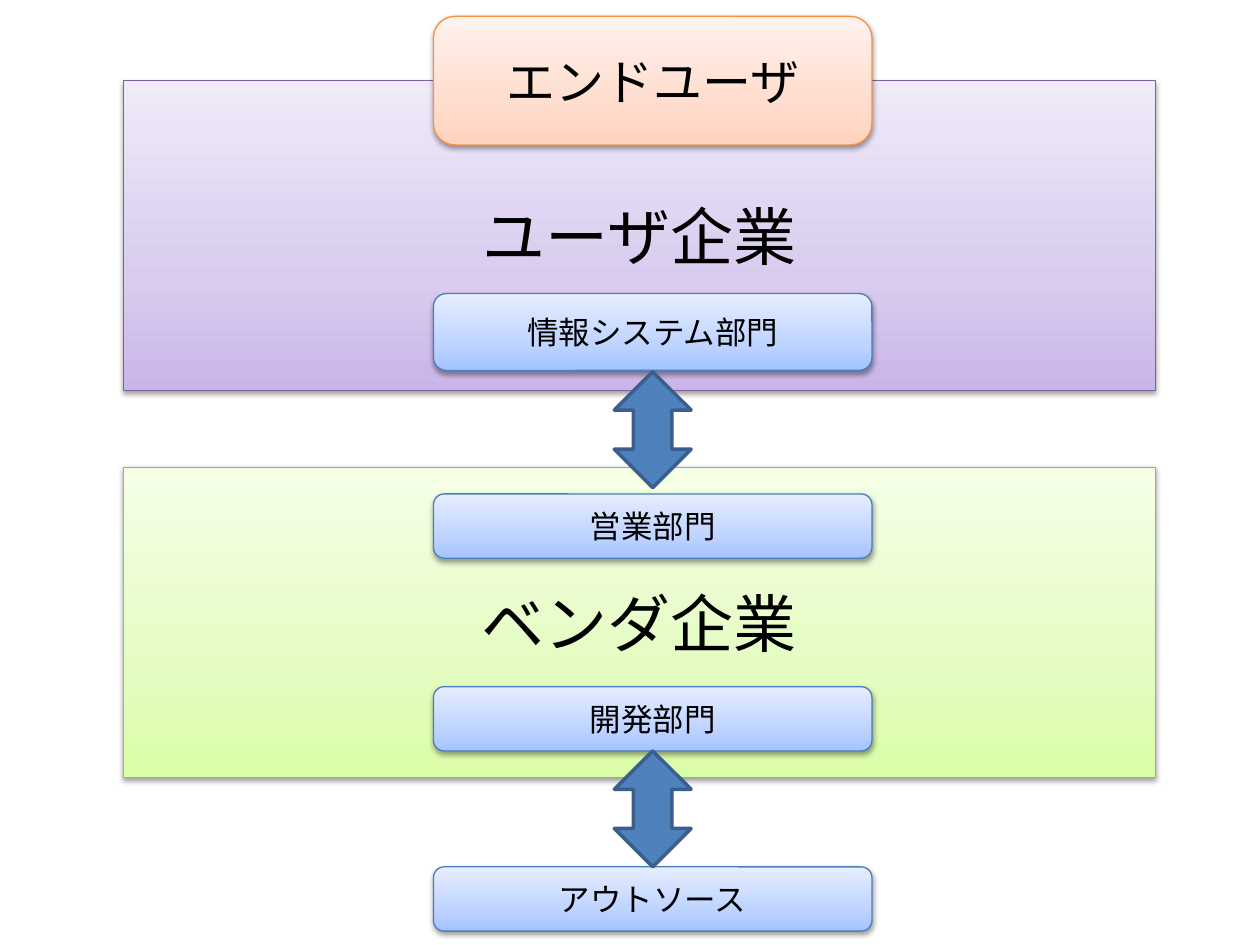
"""Builds a slide on how end users, user firms, vendors and outsourcers connect."""
from copy import deepcopy

from lxml.etree import SubElement
from pptx import Presentation
from pptx.dml.color import RGBColor
from pptx.enum.shapes import MSO_SHAPE
from pptx.enum.text import MSO_ANCHOR, PP_ALIGN
from pptx.oxml.ns import qn
from pptx.util import Inches, Pt

BLACK = RGBColor(0x00, 0x00, 0x00)
ARROW_FILL = RGBColor(0x4F, 0x81, 0xBD)
ARROW_LINE = RGBColor(0x3A, 0x5F, 0x8C)
PALETTES = {
    "purple": (RGBColor(0xC9, 0xB5, 0xE8), RGBColor(0xD8, 0xCB, 0xEE),
               RGBColor(0xF0, 0xEA, 0xF9), RGBColor(0x7D, 0x60, 0xA0)),
    "green": (RGBColor(0xDA, 0xFD, 0xA7), RGBColor(0xE4, 0xFC, 0xC2),
              RGBColor(0xF5, 0xFF, 0xE7), RGBColor(0x98, 0xB9, 0x55)),
    "orange": (RGBColor(0xFF, 0xD2, 0xBD), RGBColor(0xFF, 0xDE, 0xD0),
               RGBColor(0xFF, 0xF2, 0xED), RGBColor(0xF6, 0x92, 0x40)),
    "blue": (RGBColor(0xA4, 0xC4, 0xFF), RGBColor(0xBF, 0xD4, 0xFF),
             RGBColor(0xE6, 0xEE, 0xFF), RGBColor(0x4B, 0x7E, 0xBC)),
}
STOP_POSITIONS = (0, 0.35, 1)

COMPANY = (MSO_SHAPE.RECTANGLE, 0.98, 8.19)
UNIT = (MSO_SHAPE.ROUNDED_RECTANGLE, 3.44, 3.48)
BOXES = [
    ("ユーザ企業", COMPANY, 0.64, 2.46, "purple", 36),
    ("情報システム部門", UNIT, 2.33, 0.61, "blue", 18),
    ("エンドユーザ", UNIT, 0.13, 1.02, "orange", 28),
    ("ベンダ企業", COMPANY, 3.71, 2.46, "green", 36),
    ("営業部門", UNIT, 3.92, 0.51, "blue", 18),
    ("開発部門", UNIT, 5.45, 0.51, "blue", 18),
    ("アウトソース", UNIT, 6.88, 0.51, "blue", 18),
]
ARROW_TOPS = (2.95, 5.96)
ARROW_WIDTH, ARROW_HEIGHT = 0.61, 0.92


def write_text(shape, text, size, font="Calibri", color=BLACK):
    frame = shape.text_frame
    frame.word_wrap = True
    frame.vertical_anchor = MSO_ANCHOR.MIDDLE
    paragraph = frame.paragraphs[0]
    paragraph.alignment = PP_ALIGN.CENTER
    run = paragraph.add_run()
    run.text = text
    run.font.size, run.font.name = Pt(size), font
    run.font.color.rgb = color


def add_preset(preset, left, top, width, height, line_color, line_width):
    shape = slide.shapes.add_shape(
        preset, Inches(left), Inches(top), Inches(width), Inches(height))
    shape.shadow.inherit = False
    shape.line.color.rgb = line_color
    shape.line.width = Pt(line_width)
    return shape


def fill_gradient(shape, colors):
    shape.fill.gradient()
    shape.fill.gradient_angle = 90
    stop_list = next(shape.element.spPr.iter(qn("a:gsLst")))
    stop_list.append(deepcopy(stop_list[0]))
    for stop, position, color in zip(shape.fill.gradient_stops, STOP_POSITIONS, colors):
        stop.position = position
        stop.color.rgb = color


def cast_shadow(shape):
    effects = shape.element.spPr.find(qn("a:effectLst"))
    shadow = SubElement(effects, qn("a:outerShdw"), blurRad="40000",
                        dist="20000", dir="5400000", rotWithShape="0")
    shade = SubElement(shadow, qn("a:srgbClr"), val="000000")
    SubElement(shade, qn("a:alpha"), val="38000")


deck = Presentation()
deck.slide_width, deck.slide_height = Inches(10), Inches(7.5)
slide = deck.slides.add_slide(deck.slide_layouts[6])

for label, (preset, left, width), top, height, palette, size in BOXES:
    *gradient, outline = PALETTES[palette]
    box = add_preset(preset, left, top, width, height, outline, 0.75)
    fill_gradient(box, gradient)
    cast_shadow(box)
    write_text(box, label, size)

_, unit_left, unit_width = UNIT
arrow_left = unit_left + (unit_width - ARROW_WIDTH) / 2
for top in ARROW_TOPS:
    arrow = add_preset(MSO_SHAPE.UP_DOWN_ARROW, arrow_left, top,
                       ARROW_WIDTH, ARROW_HEIGHT, ARROW_LINE, 2)
    arrow.fill.solid()
    arrow.fill.fore_color.rgb = ARROW_FILL

deck.save("out.pptx")
